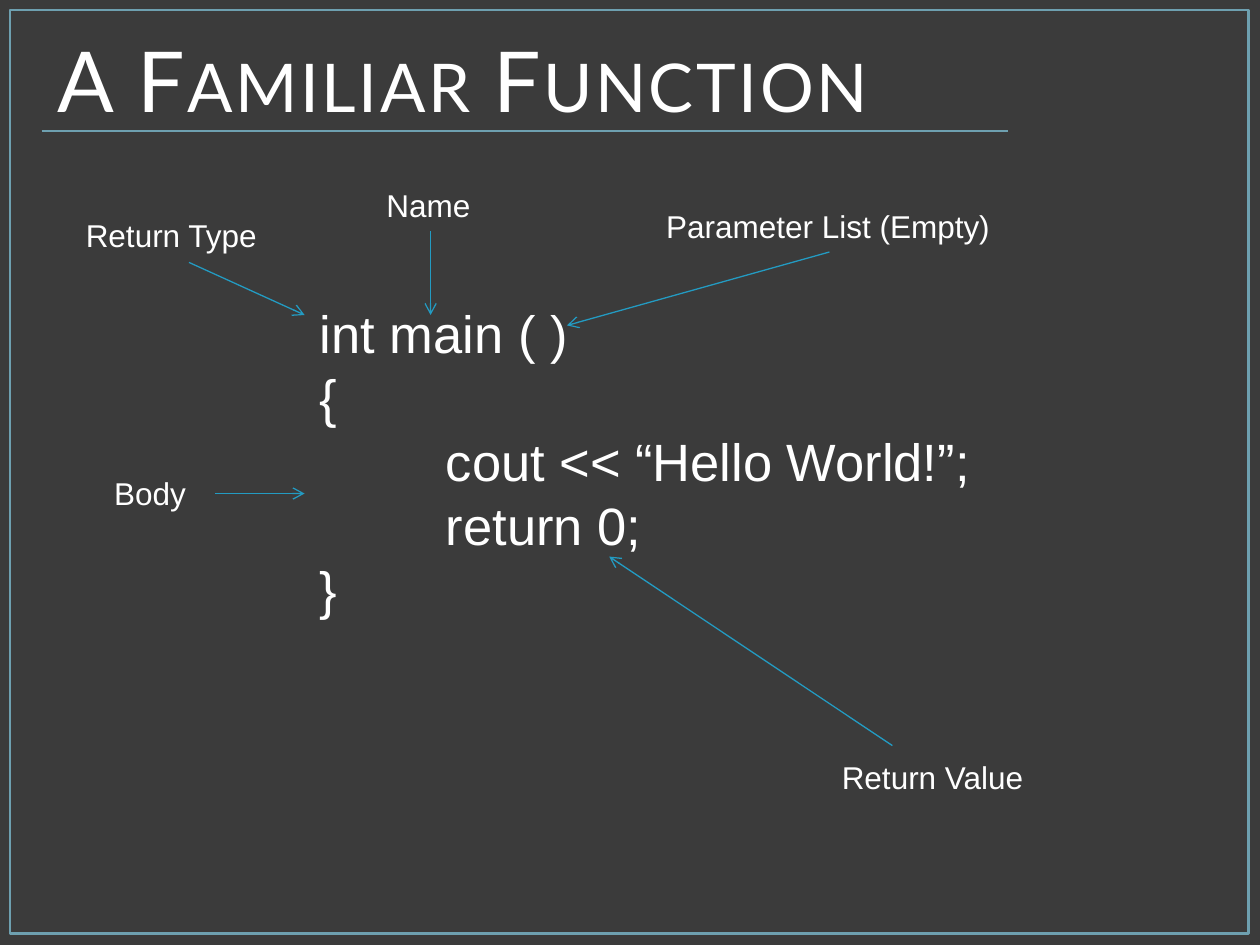
from dataclasses import dataclass

from lxml import etree
from pptx import Presentation
from pptx.dml.color import RGBColor
from pptx.enum.shapes import MSO_CONNECTOR, MSO_SHAPE
from pptx.enum.text import MSO_ANCHOR, MSO_AUTO_SIZE, PP_ALIGN
from pptx.oxml.ns import qn
from pptx.util import Cm, Pt

STRAIGHT = MSO_CONNECTOR.STRAIGHT
RECTANGLE = MSO_SHAPE.RECTANGLE
MIDDLE = MSO_ANCHOR.MIDDLE
LEFT = PP_ALIGN.LEFT
GROW = MSO_AUTO_SIZE.SHAPE_TO_FIT_TEXT
TITLE_ONLY = 5


@dataclass(frozen=True)
class Theme:
    background: RGBColor = RGBColor(0x3B, 0x3B, 0x3B)
    text: RGBColor = RGBColor(0xFF, 0xFF, 0xFF)
    frame: RGBColor = RGBColor(0x6E, 0xA0, 0xB0)
    arrow: RGBColor = RGBColor(0x23, 0x9B, 0xC2)
    title_font: str = "Lato"
    body_font: str = "Arial"
    title_size: float = 48
    code_size: float = 30
    code_pitch: float = 36.6
    label_size: float = 18
    frame_width: float = 1.5
    line_width: float = 0.75


class Page:
    """Draws styled elements on one slide; all lengths are centimetres."""

    def __init__(self, deck, theme):
        self.theme = theme
        self.slide = deck.slides.add_slide(deck.slide_layouts[TITLE_ONLY])
        fill = self.slide.background.fill
        fill.solid()
        fill.fore_color.rgb = theme.background

    def add_span(self, para, text, font, size):
        span = para.add_run()
        span.text = text
        span.font.name = font
        span.font.size = Pt(size)
        span.font.color.rgb = self.theme.text
        return span

    def title(self, text, left, top, width, height):
        box = self.slide.shapes.title
        box.left, box.top = Cm(left), Cm(top)
        box.width, box.height = Cm(width), Cm(height)
        box.text_frame.vertical_anchor = MIDDLE
        para = box.text_frame.paragraphs[0]
        para.alignment = LEFT
        span = self.add_span(para, text, self.theme.title_font,
                             self.theme.title_size)
        properties = span.font._element
        properties.set("cap", "small")
        properties.set("spc", "150")

    def frame(self, left, top, width, height):
        box = self.slide.shapes.add_shape(
            RECTANGLE, Cm(left), Cm(top), Cm(width), Cm(height))
        box.shadow.inherit = False
        box.fill.background()
        box.line.color.rgb = self.theme.frame
        box.line.width = Pt(self.theme.frame_width)

    def line(self, start, end, color):
        connector = self.slide.shapes.add_connector(
            STRAIGHT, *(Cm(value) for value in (*start, *end)))
        connector.line.color.rgb = color
        connector.line.width = Pt(self.theme.line_width)
        etree.SubElement(connector._element.spPr, qn("a:effectLst"))
        return connector

    def arrow(self, start, end):
        connector = self.line(start, end, self.theme.arrow)
        outline = connector.line._get_or_add_ln()
        etree.SubElement(outline, qn("a:tailEnd"), type="arrow")

    def label(self, text, left, top, width, height=1.02):
        box = self.slide.shapes.add_textbox(
            Cm(left), Cm(top), Cm(width), Cm(height))
        box.text_frame.word_wrap = False
        box.text_frame.auto_size = GROW
        self.add_span(box.text_frame.paragraphs[0], text,
                      self.theme.body_font, self.theme.label_size)

    def code(self, lines, left, top, width, height):
        box = self.slide.shapes.add_textbox(
            Cm(left), Cm(top), Cm(width), Cm(height))
        frame = box.text_frame
        frame.word_wrap = True
        frame.margin_left = frame.margin_right = 0
        frame.margin_top = frame.margin_bottom = 0
        for index, (level, text) in enumerate(lines):
            para = frame.add_paragraph() if index else frame.paragraphs[0]
            para.line_spacing = Pt(self.theme.code_pitch)
            para._p.get_or_add_pPr().set("marL", str(Cm(2.54 * level)))
            self.add_span(para, text, self.theme.body_font,
                          self.theme.code_size)


def main():
    deck = Presentation()
    deck.slide_width, deck.slide_height = Cm(25.4), Cm(19.05)
    theme = Theme()
    page = Page(deck, theme)

    # Frame, heading and rule
    page.frame(0.2, 0.2, 24.97, 18.62)
    page.line((0.84, 2.64), (20.32, 2.64), theme.frame)
    page.title("A Familiar Function", 0.91, 0, 22.86, 3.18)

    # Function listing: indent level and text
    page.code([
        (0, "int main ( )"),
        (0, "{"),
        (1, "cout << “Hello World!”;"),
        (1, "return 0;"),
        (0, "}"),
    ], 6.45, 6.05, 16.5, 6.5)

    # Arrows from each label to its part of the function
    for start, end in [
        ((3.81, 5.29), (6.14, 6.35)),
        ((8.68, 4.66), (8.68, 6.35)),
        ((16.72, 5.08), (11.43, 6.56)),
        ((4.34, 9.95), (6.14, 9.95)),
        ((17.99, 15.03), (12.28, 11.22)),
    ]:
        page.arrow(start, end)

    # Labels: text, left, top, width
    for text, left, top, width in [
        ("Return Type", 1.48, 4.24, 3.99),
        ("Name", 7.54, 3.62, 2.24),
        ("Parameter List (Empty)", 13.18, 4.05, 7.11),
        ("Body", 2.05, 9.43, 1.98),
        ("Return Value", 16.72, 15.15, 4.22),
    ]:
        page.label(text, left, top, width)

    deck.save("out.pptx")


if __name__ == "__main__":
    main()
